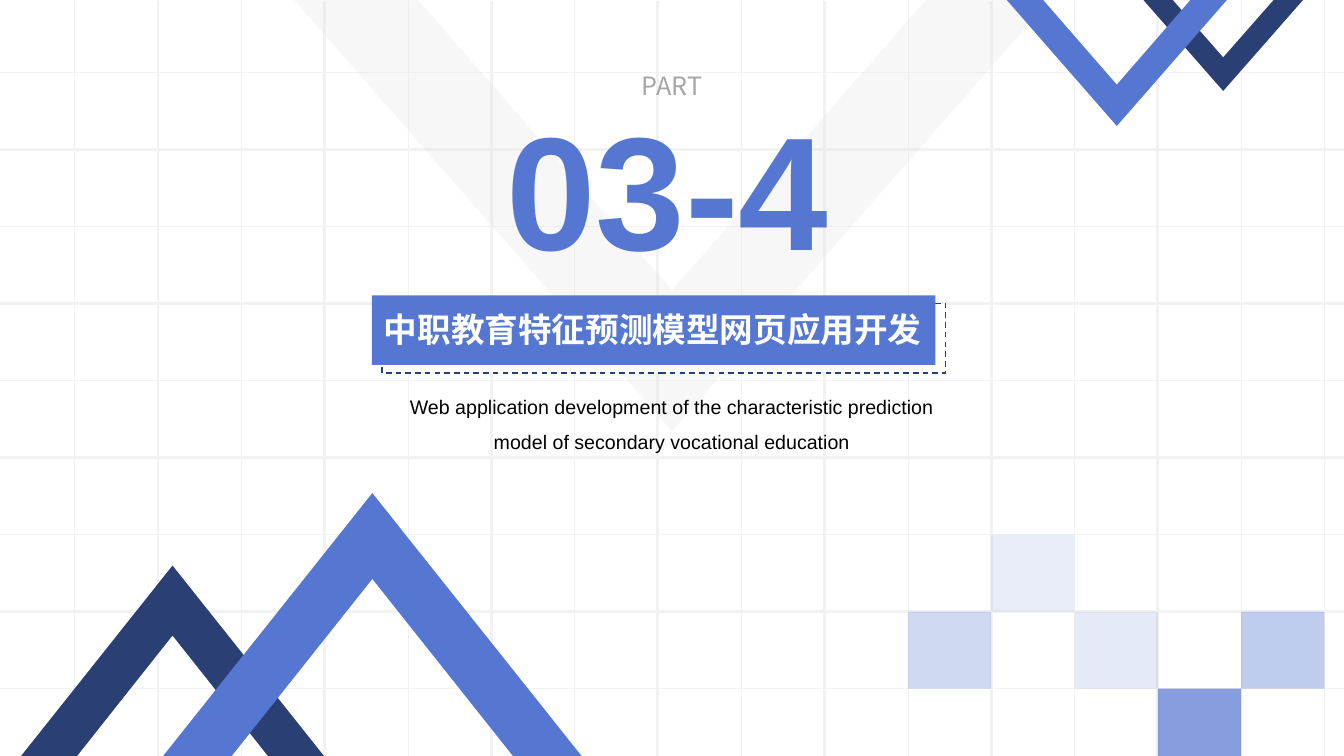
from dataclasses import dataclass

import pptx
import pptx.dml.color
import pptx.enum.dml
import pptx.enum.shapes
import pptx.enum.text
import pptx.oxml.ns
import pptx.oxml.xmlchemy
import pptx.shapes.autoshape
import pptx.slide
import pptx.util

Pt = pptx.util.Pt
RGBColor = pptx.dml.color.RGBColor

BLUE = RGBColor(0x55, 0x77, 0xD1)
NAVY = RGBColor(0x2A, 0x3F, 0x74)
PALE_GRAY = RGBColor(0xD9, 0xD9, 0xD9)
GRID_GRAY = RGBColor(0xF2, 0xF2, 0xF2)
LABEL_GRAY = RGBColor(0xA6, 0xA6, 0xA6)
WHITE = RGBColor(0xFF, 0xFF, 0xFF)
BLACK = RGBColor(0x00, 0x00, 0x00)

SLIDE_WIDTH, SLIDE_HEIGHT = 960, 540
GRID_LEFT, GRID_TOP, GRID_BOTTOM = 53.3, 51.9, 542
COLUMN_WIDTH, ROW_HEIGHT = 59.52, 55
COLUMN_COUNT, ROW_COUNT = 16, 9
THIN, THICK = 0.5, 2


@dataclass(frozen=True)
class Tile:
    column: int
    row: int
    opacity: int


@dataclass(frozen=True)
class Chevron:
    left: float
    right: float
    base: float
    apex: float
    inner_apex: float
    band: float
    color: RGBColor
    opacity: int = 100


@dataclass(frozen=True)
class Label:
    text: str
    left: float
    top: float
    width: float
    height: float
    size: float
    font: str
    color: RGBColor
    bold: bool = False
    line_spacing: float = 1.0


TILES = [
    Tile(10, 7, 28),
    Tile(11, 6, 13),
    Tile(12, 7, 15),
    Tile(13, 8, 71),
    Tile(14, 7, 37),
]

CHEVRONS = [
    Chevron(209.5, 750.5, -0.7, 308, 207.4, 88.5, PALE_GRAY, 20),
    Chevron(815.5, 932, -1.4, 65, 41, 21, NAVY),
    Chevron(718.5, 877, -0.7, 90, 60.5, 26, BLUE),
    Chevron(13.5, 233, 542, 404, 454, 40, NAVY),
    Chevron(116.5, 415.4, 540, 352.2, 413.5, 49, BLUE),
]

LABELS = [
    Label("03-4", 345.6, 60.5, 262, 147, 115, "Arial", BLUE, True),
    Label("PART", 377.3, 46.8, 205.2, 28.8, 18, "Noto Sans CJK SC", LABEL_GRAY),
    Label(
        "Web application development of the characteristic prediction "
        "model of secondary vocational education",
        275.8, 270, 408.2, 58.3, 14, "Arial", BLACK, line_spacing=1.5,
    ),
]

TITLE = Label(
    "中职教育特征预测模型网页应用开发",
    252.7, 216.7, 427, 36, 24, "Noto Sans CJK JP", WHITE, True,
)

PLATE_LEFT, PLATE_TOP, PLATE_WIDTH, PLATE_HEIGHT = 265.7, 210.9, 402.5, 49.7
OUTLINE_SHIFT_X, OUTLINE_SHIFT_Y = 7.2, 5.9


def fill_shape(
    shape: pptx.shapes.autoshape.Shape, color: RGBColor, opacity: int = 100
) -> None:
    shape.shadow.inherit = False
    shape.fill.solid()
    shape.fill.fore_color.rgb = color
    shape.line.fill.background()
    if opacity < 100:
        color_element = shape.element.spPr.find(".//" + pptx.oxml.ns.qn("a:srgbClr"))
        alpha = pptx.oxml.xmlchemy.OxmlElement("a:alpha")
        alpha.set("val", str(opacity * 1000))
        color_element.append(alpha)


def draw_rectangle(
    slide: pptx.slide.Slide, left: float, top: float, width: float, height: float,
    color: RGBColor, opacity: int = 100,
) -> pptx.shapes.autoshape.Shape:
    shape = slide.shapes.add_shape(
        pptx.enum.shapes.MSO_SHAPE.RECTANGLE, Pt(left), Pt(top), Pt(width), Pt(height)
    )
    fill_shape(shape, color, opacity)
    return shape


def draw_grid_line(
    slide: pptx.slide.Slide, x1: float, y1: float, x2: float, y2: float, width: float
) -> None:
    line = slide.shapes.add_connector(
        pptx.enum.shapes.MSO_CONNECTOR.STRAIGHT, Pt(x1), Pt(y1), Pt(x2), Pt(y2)
    )
    line.line.color.rgb = GRID_GRAY
    line.line.width = Pt(width)
    line.element.spPr.append(pptx.oxml.xmlchemy.OxmlElement("a:effectLst"))


def draw_grid(slide: pptx.slide.Slide) -> None:
    for row in range(ROW_COUNT):
        y = GRID_TOP + row * ROW_HEIGHT
        draw_grid_line(slide, 0, y, SLIDE_WIDTH, y, THICK if row % 2 else THIN)
    for column in range(COLUMN_COUNT):
        x = GRID_LEFT + column * COLUMN_WIDTH
        is_thick = column % 2 and column < COLUMN_COUNT - 1
        draw_grid_line(slide, x, 0.7, x, GRID_BOTTOM, THICK if is_thick else THIN)


def draw_tile(slide: pptx.slide.Slide, tile: Tile) -> None:
    left = GRID_LEFT + tile.column * COLUMN_WIDTH
    top = GRID_TOP + tile.row * ROW_HEIGHT
    height = min(ROW_HEIGHT, GRID_BOTTOM - top)
    draw_rectangle(slide, left, top, COLUMN_WIDTH, height, BLUE, tile.opacity)


def draw_chevron(slide: pptx.slide.Slide, chevron: Chevron) -> None:
    middle = (chevron.left + chevron.right) / 2
    points = [
        (chevron.left + chevron.band, chevron.base),
        (middle, chevron.inner_apex),
        (chevron.right - chevron.band, chevron.base),
        (chevron.right, chevron.base),
        (middle, chevron.apex),
    ]
    builder = slide.shapes.build_freeform(Pt(chevron.left), Pt(chevron.base))
    builder.add_line_segments([(Pt(x), Pt(y)) for x, y in points], close=True)
    fill_shape(builder.convert_to_shape(), chevron.color, chevron.opacity)


def write_label(shape: pptx.shapes.autoshape.Shape, label: Label) -> None:
    shape.left, shape.top = Pt(label.left), Pt(label.top)
    shape.width, shape.height = Pt(label.width), Pt(label.height)
    frame = shape.text_frame
    frame.word_wrap = True
    frame.auto_size = pptx.enum.text.MSO_AUTO_SIZE.NONE
    frame.vertical_anchor = pptx.enum.text.MSO_ANCHOR.TOP
    paragraph = frame.paragraphs[0]
    paragraph.alignment = pptx.enum.text.PP_ALIGN.CENTER
    paragraph.line_spacing = label.line_spacing
    run = paragraph.add_run()
    run.text = label.text
    run.font.size = Pt(label.size)
    run.font.bold = label.bold
    run.font.color.rgb = label.color
    run.font.name = label.font
    east_asian = pptx.oxml.xmlchemy.OxmlElement("a:ea")
    east_asian.set("typeface", label.font)
    shape.element.find(".//" + pptx.oxml.ns.qn("a:latin")).addnext(east_asian)


def draw_title(slide: pptx.slide.Slide) -> None:
    outline = draw_rectangle(
        slide, PLATE_LEFT + OUTLINE_SHIFT_X, PLATE_TOP + OUTLINE_SHIFT_Y,
        PLATE_WIDTH, PLATE_HEIGHT, WHITE,
    )
    outline.line.color.rgb = NAVY
    outline.line.width = Pt(1)
    outline.line.dash_style = pptx.enum.dml.MSO_LINE.DASH
    draw_rectangle(slide, PLATE_LEFT, PLATE_TOP, PLATE_WIDTH, PLATE_HEIGHT, BLUE)
    title = slide.shapes.title
    write_label(title, TITLE)
    title.element.getparent().append(title.element)


def main() -> None:
    presentation = pptx.Presentation()
    presentation.slide_width = Pt(SLIDE_WIDTH)
    presentation.slide_height = Pt(SLIDE_HEIGHT)
    slide = presentation.slides.add_slide(
        presentation.slide_layouts.get_by_name("Title Only")
    )
    draw_grid(slide)
    for tile in TILES:
        draw_tile(slide, tile)
    for chevron in CHEVRONS:
        draw_chevron(slide, chevron)
    for label in LABELS:
        write_label(slide.shapes.add_textbox(0, 0, 0, 0), label)
    draw_title(slide)
    presentation.save("out.pptx")


if __name__ == "__main__":
    main()
